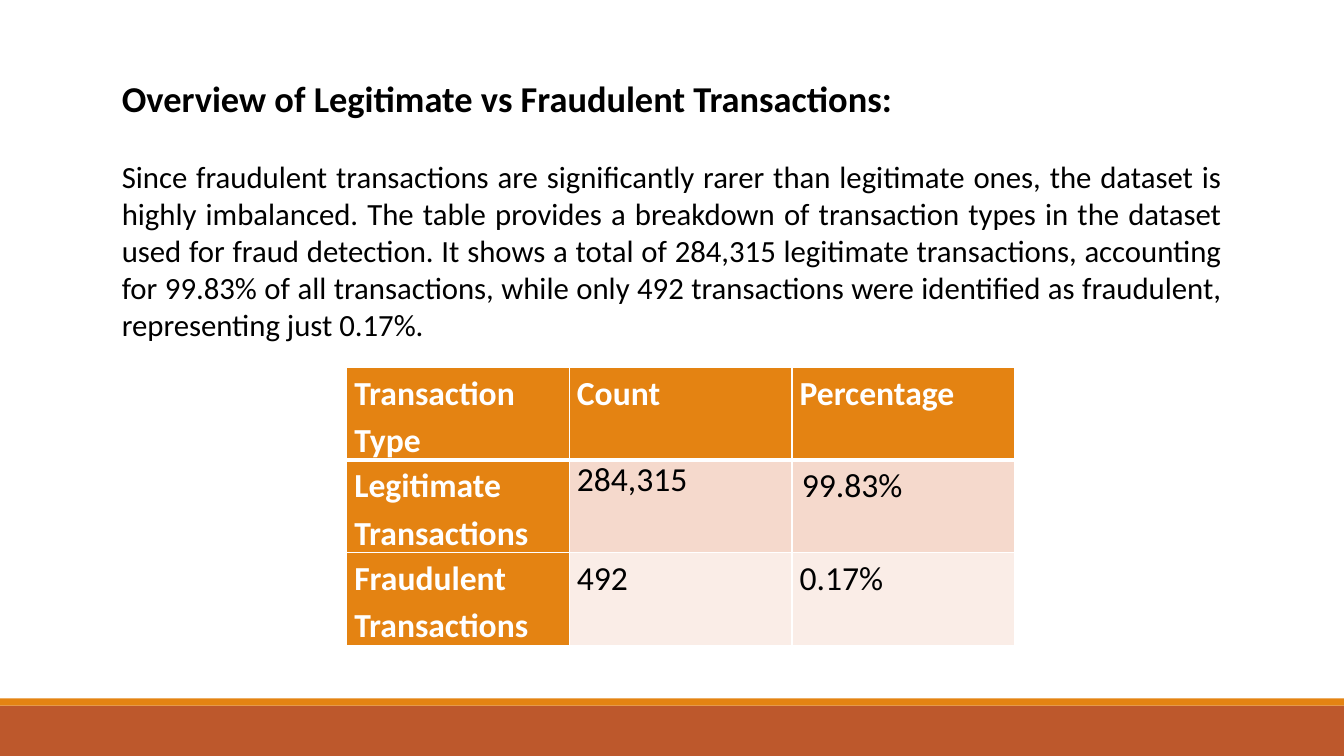
from lxml import etree
from pptx import Presentation
from pptx import util as u
from pptx.dml.color import RGBColor
from pptx.enum import shapes, text
from pptx.oxml import ns

COLORS = {"orange": "E48312", "rust": "BD582C", "white": "FFFFFF",
          "black": "000000", "peach": "F5D9CC", "blush": "FAEDE7"}


def rgb(name):
    return RGBColor.from_string(COLORS[name])


def write(paragraph, words, size=24, color="black", bold=False,
          align=text.PP_ALIGN.LEFT, spacing=1.0, before=0):
    paragraph.alignment = align
    paragraph.line_spacing = spacing
    paragraph.space_before = u.Pt(before)
    run = paragraph.add_run()
    run.text = words
    run.font.name = "Calibri"
    run.font.size = u.Pt(size)
    run.font.bold = bold
    run.font.color.rgb = rgb(color)


class SlideBuilder:
    """Draws styled elements on the current slide."""

    def __init__(self, slide):
        self.slide = slide

    def band(self, top, height, color):
        band = self.slide.shapes.add_shape(
            shapes.MSO_SHAPE.RECTANGLE, 0, u.Cm(top), u.Cm(33.87), u.Cm(height))
        band.shadow.inherit = False
        band.fill.solid()
        band.fill.fore_color.rgb = rgb(color)
        band.line.fill.background()

    def text_box(self, left, top, width, height):
        frame = self.slide.shapes.add_textbox(
            u.Cm(left), u.Cm(top), u.Cm(width), u.Cm(height)).text_frame
        frame.word_wrap = True
        return frame

    def border(self, cell, side, points):
        line = etree.SubElement(cell._tc.get_or_add_tcPr(), ns.qn(f"a:ln{side}"),
                                w=str(u.Pt(points)))
        fill = etree.SubElement(line, ns.qn("a:solidFill"))
        etree.SubElement(fill, ns.qn("a:srgbClr"), val=COLORS["white"])

    def table(self, rows, left, top, column_width, row_height):
        columns = len(rows[0])
        table = self.slide.shapes.add_table(
            len(rows), columns, u.Cm(left), u.Cm(top),
            u.Cm(column_width * columns), u.Cm(row_height * len(rows))).table
        for r, row in enumerate(rows):
            for c, words in enumerate(row):
                cell = table.cell(r, c)
                heading = r == 0 or c == 0
                plain = r == 1 and c > 0
                for side in "LRTB":
                    under_header = (r, side) in ((0, "B"), (1, "T"))
                    self.border(cell, side, 3 if under_header else 1)
                cell.fill.solid()
                cell.fill.fore_color.rgb = rgb(
                    "orange" if heading else "peach" if r == 1 else "blush")
                roomy = (r, c) == (1, 2)
                cell.margin_left = cell.margin_right = u.Cm(0.25 if roomy else 0.19)
                cell.margin_top = cell.margin_bottom = u.Cm(0.13 if roomy else 0)
                write(cell.text_frame.paragraphs[0], words, bold=heading,
                      color="white" if heading else "black",
                      align=text.PP_ALIGN.LEFT if plain else text.PP_ALIGN.JUSTIFY,
                      spacing=1.0 if plain else 1.15)


def main():
    deck = Presentation()
    deck.slide_width, deck.slide_height = u.Cm(33.87), u.Cm(19.05)
    builder = SlideBuilder(deck.slides.add_slide(deck.slide_layouts[6]))
    builder.band(17.78, 1.27, "rust")
    builder.band(17.6, 0.18, "orange")

    overview = builder.text_box(2.82, 1.8, 28.22, 7.2)
    write(overview.paragraphs[0], "Overview of Legitimate vs Fraudulent Transactions:",
          size=26, bold=True)
    write(overview.add_paragraph(),
          "Since fraudulent transactions are significantly rarer than legitimate ones, "
          "the dataset is highly imbalanced. The table provides a breakdown of "
          "transaction types in the dataset used for fraud detection. It shows a total "
          "of 284,315 legitimate transactions, accounting for 99.83% of all "
          "transactions, while only 492 transactions were identified as fraudulent, "
          "representing just 0.17%.",
          size=22, align=text.PP_ALIGN.JUSTIFY, before=27)

    builder.table([("Transaction Type", "Count", "Percentage"),
                   ("Legitimate Transactions", "284,315", "99.83%"),
                   ("Fraudulent Transactions", "492", "0.17%")],
                  left=8.74, top=9.25, column_width=5.61, row_height=2.34)
    deck.save("out.pptx")


if __name__ == "__main__":
    main()
